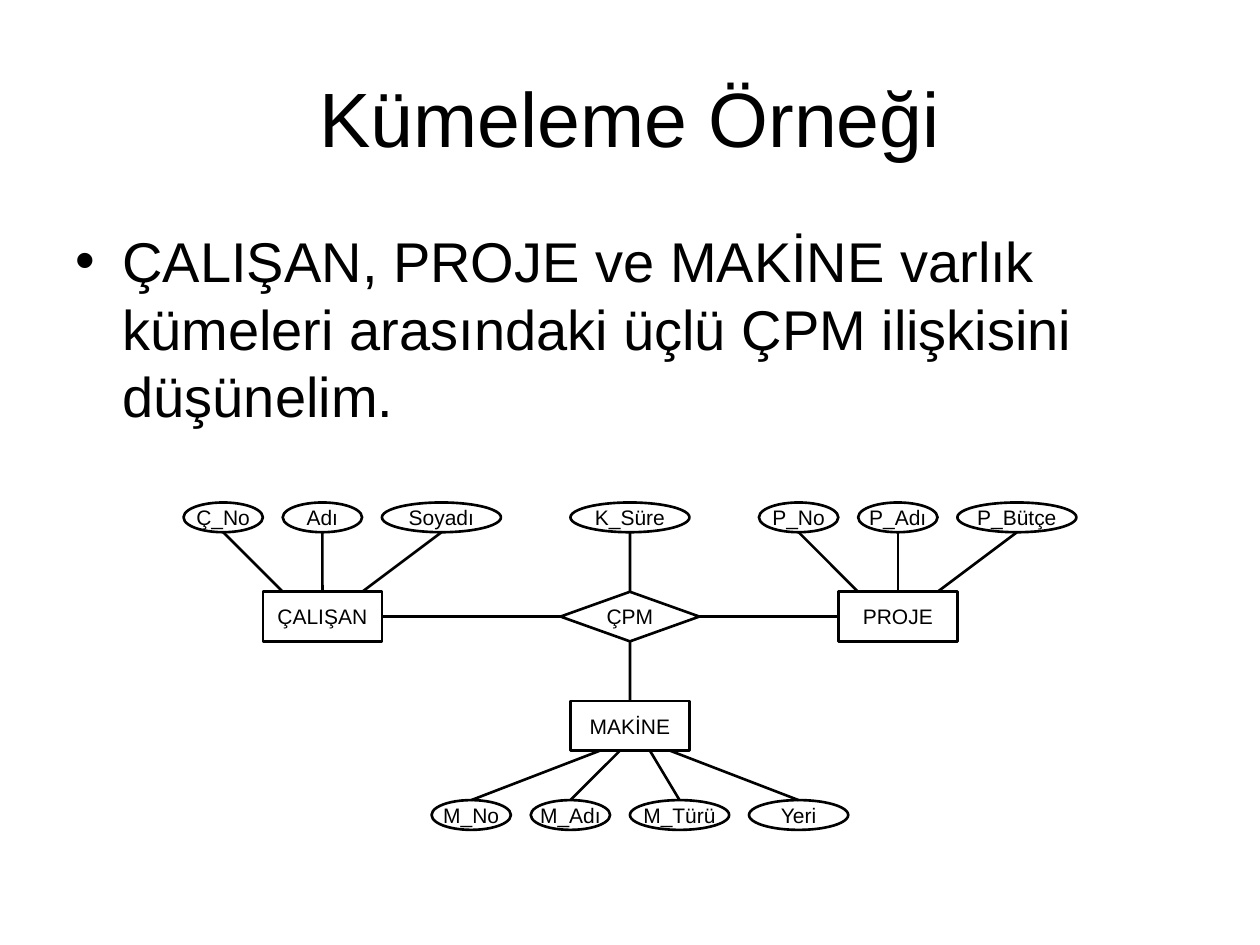
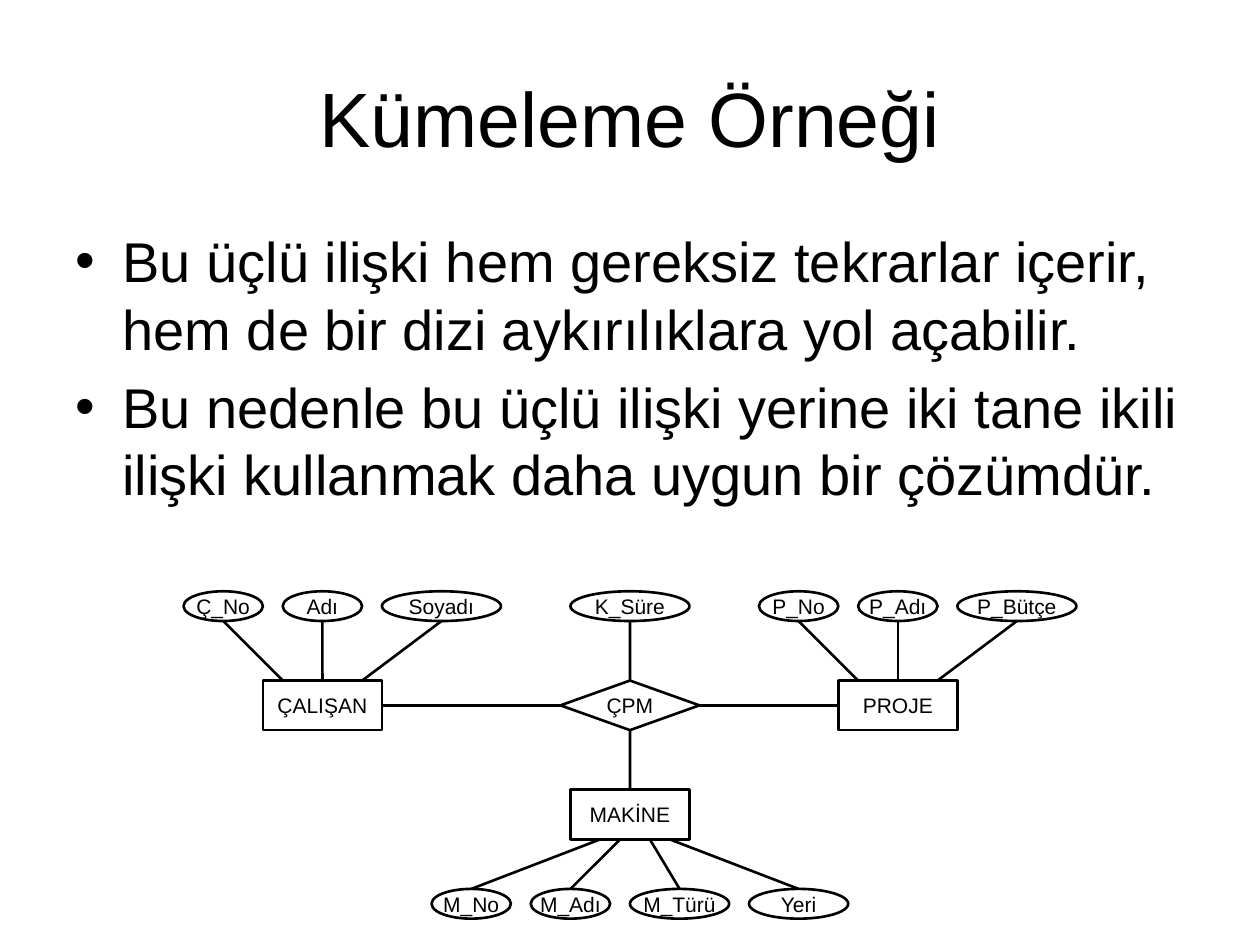
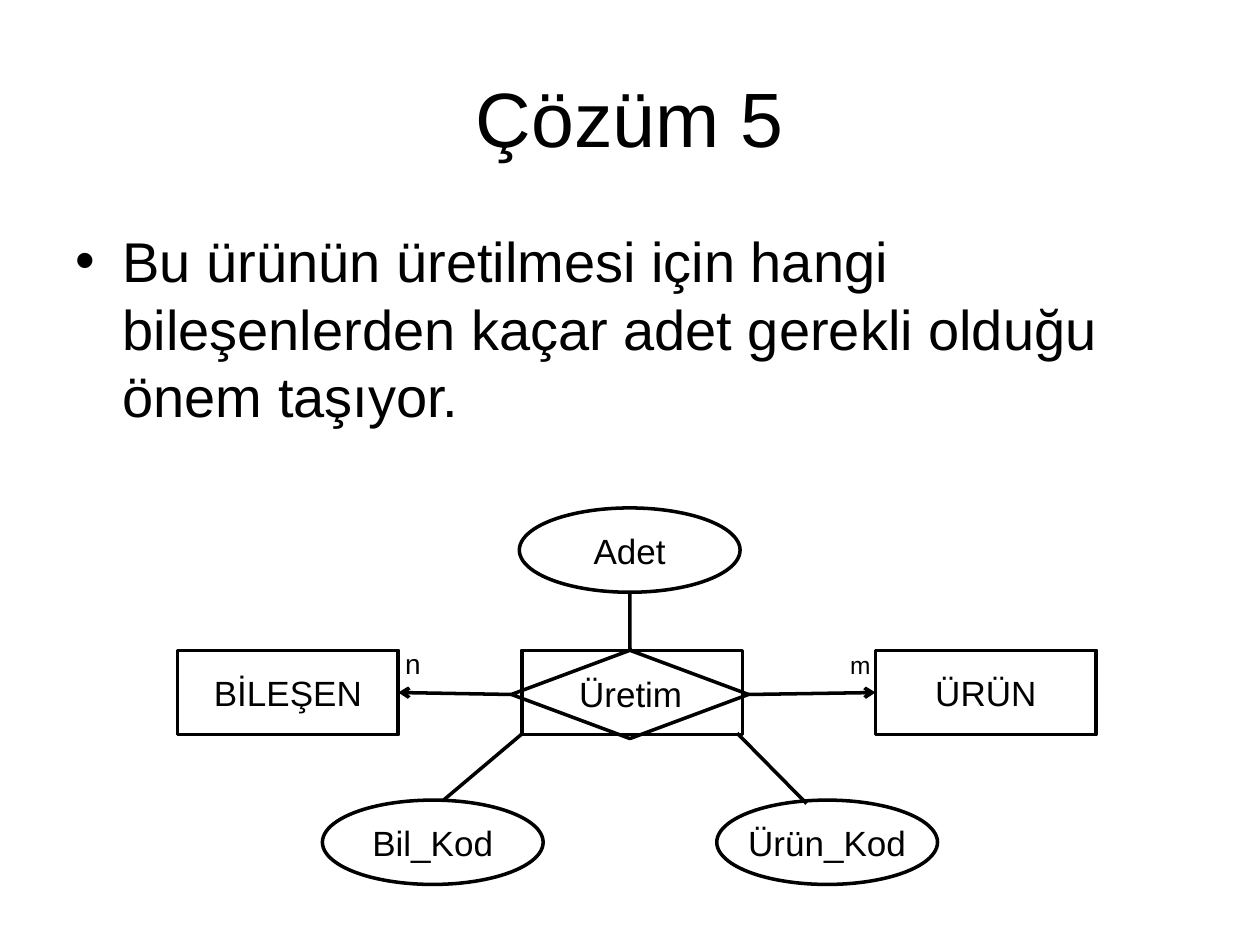
from itertools import accumulate

from lxml import etree
from pptx import Presentation
from pptx.dml.color import RGBColor
from pptx.enum.shapes import MSO_CONNECTOR, MSO_SHAPE
from pptx.enum.text import MSO_ANCHOR, PP_ALIGN
from pptx.oxml.ns import qn
from pptx.util import Cm, Pt

OVAL, RECTANGLE, DIAMOND = MSO_SHAPE.OVAL, MSO_SHAPE.RECTANGLE, MSO_SHAPE.DIAMOND
ENTITY, RELATION = MSO_SHAPE.FLOWCHART_PROCESS, MSO_SHAPE.FLOWCHART_DECISION
STRAIGHT = MSO_CONNECTOR.STRAIGHT
MIDDLE, TOP_ANCHOR = MSO_ANCHOR.MIDDLE, MSO_ANCHOR.TOP
CENTER, LEFT_ALIGN = PP_ALIGN.CENTER, PP_ALIGN.LEFT

# Connection sites of rectangles and diamonds; an oval numbers its bottom differently
TOP, LEFT, BOTTOM, RIGHT = range(4)
OVAL_BOTTOM = 4
# Halves of the width and height from the top left corner to each site
SITE_HALVES = {TOP: (1, 0), LEFT: (0, 1), BOTTOM: (1, 2), RIGHT: (2, 1), OVAL_BOTTOM: (1, 2)}

COLORS = {"ink": "000000", "paper": "FFFFFF"}
FONT = "Arial"
BLANK_LAYOUT = 6

OVAL_HEIGHT, ENTITY_WIDTH, ENTITY_HEIGHT, OVAL_GAP = 0.6, 2.4, 1, 0.4
SOLUTION_SIZE = (4.45, 1.7)


class Deck:
    def __init__(self):
        self.file = Presentation()
        self.file.slide_width, self.file.slide_height = Cm(25.4), Cm(19.05)
        self.ink = RGBColor.from_string(COLORS["ink"])
        self.set_diagram_style(12, 1.5)

    def set_diagram_style(self, text_size, line_width):
        self.text_size, self.line_width = text_size, line_width

    def add_page(self, title, bullets, body_height):
        self.page = self.file.slides.add_slide(self.file.slide_layouts[BLANK_LAYOUT])
        self.page.background.fill.solid()
        self.page.background.fill.fore_color.rgb = RGBColor.from_string(COLORS["paper"])
        self.shapes = self.page.shapes
        self.add_text([title], (1.27, 0.76, 22.86, 3.18), 44, CENTER, MIDDLE)
        self.add_text(bullets, (1.27, 4.45, 22.86, body_height), 32, bulleted=True)

    def start_group(self):
        """Send the elements that follow into a new group."""
        self.shapes = self.page.shapes.add_group_shape().shapes

    def set_text(self, frame, lines, size, align, anchor, wrap, bulleted=False):
        frame.word_wrap = wrap
        frame.vertical_anchor = anchor
        for index, line in enumerate(lines):
            para = frame.add_paragraph() if index else frame.paragraphs[0]
            para.text = line
            para.alignment = align
            if index:
                para.space_before = Pt(size * 0.2)
            if bulleted:
                properties = para._p.get_or_add_pPr()
                properties.set("marL", str(Cm(0.95)))
                properties.set("indent", str(-Cm(0.95)))
                etree.SubElement(properties, qn("a:buFont"), typeface=FONT)
                etree.SubElement(properties, qn("a:buChar"), char="•")
            para.font.name, para.font.size = FONT, Pt(size)
            para.font.color.rgb = self.ink

    def add_text(self, lines, place, size, align=LEFT_ALIGN, anchor=TOP_ANCHOR,
                 wrap=True, bulleted=False):
        box = self.shapes.add_textbox(*map(Cm, place))
        self.set_text(box.text_frame, lines, size, align, anchor, wrap, bulleted)

    def add_outline(self, kind, left, top, width, height, label=None):
        shape = self.shapes.add_shape(kind, *map(Cm, (left, top, width, height)))
        shape.shadow.inherit = False
        shape.fill.background()
        shape.line.color.rgb = self.ink
        shape.line.width = Pt(self.line_width)
        if label:
            self.set_text(shape.text_frame, [label], self.text_size, CENTER, MIDDLE, False)
        return shape

    def add_line(self, start, end, arrow=False):
        """Draw from start to end, each a point in cm or a (shape, site) pair."""
        line = self.shapes.add_connector(STRAIGHT, *self.locate(*start), *self.locate(*end))
        for (target, site), join in ((start, line.begin_connect), (end, line.end_connect)):
            if not isinstance(target, (int, float)) and site != OVAL_BOTTOM:
                join(target, site)
        line.line.color.rgb = self.ink
        line.line.width = Pt(self.line_width)
        properties = line._element.spPr
        etree.SubElement(properties, qn("a:effectLst"))
        if arrow:
            etree.SubElement(properties.find(qn("a:ln")), qn("a:tailEnd"), type="arrow")

    @staticmethod
    def locate(target, site):
        if isinstance(target, (int, float)):
            return Cm(target), Cm(site)
        across, down = SITE_HALVES[site]
        return (target.left + target.width * across // 2,
                target.top + target.height * down // 2)

    def add_attributes(self, left, top, attributes, site, ends):
        """Draw a row of evenly spaced ovals, each tied to its end."""
        widths = [width for _, width in attributes]
        lefts = accumulate([left] + [width + OVAL_GAP for width in widths[:-1]])
        for (label, width), oval_left, end in zip(attributes, lefts, ends):
            oval = self.add_outline(OVAL, oval_left, top, width, OVAL_HEIGHT, label)
            self.add_line((oval, site), end)


def draw_clustering_diagram(deck, top):
    deck.start_group()
    entity_top, machine_top, machine_oval_top = top + 1.8, top + 4, top + 6
    relation = deck.add_outline(RELATION, 11.3, entity_top, 2.8, ENTITY_HEIGHT, "ÇPM")
    entities = (
        ("ÇALIŞAN", 5.3, [("Ç_No", 1.6), ("Adı", 1.6), ("Soyadı", 2.4)], RIGHT, LEFT),
        ("PROJE", 16.9, [("P_No", 1.6), ("P_Adı", 1.6), ("P_Bütçe", 2.4)], LEFT, RIGHT),
    )
    for name, left, attributes, entity_side, relation_side in entities:
        entity = deck.add_outline(ENTITY, left, entity_top, ENTITY_WIDTH, ENTITY_HEIGHT, name)
        deck.add_line((entity, entity_side), (relation, relation_side))
        ends = [(left + 0.4, entity_top), (entity, TOP), (left + 2, entity_top)]
        deck.add_attributes(left - 1.6, top, attributes, OVAL_BOTTOM, ends)
    deck.add_attributes(11.5, top, [("K_Süre", 2.4)], OVAL_BOTTOM, [(relation, TOP)])

    machine = deck.add_outline(ENTITY, 11.5, machine_top, ENTITY_WIDTH, ENTITY_HEIGHT, "MAKİNE")
    deck.add_line((relation, BOTTOM), (machine, TOP))
    ends = [(x, machine_top + ENTITY_HEIGHT) for x in (12.1, 12.5, 13.1, 13.5)]
    deck.add_attributes(8.7, machine_oval_top,
                        [("M_No", 1.6), ("M_Adı", 1.6), ("M_Türü", 2), ("Yeri", 2)], TOP, ends)


def draw_solution_diagram(deck):
    deck.set_diagram_style(20, 2)
    entity_top, code_top, corner_y = 13.11, 16.13, 14.78
    deck.add_text(["Üretim"], (10.49, 13.13, *SOLUTION_SIZE), 20, CENTER, MIDDLE, wrap=False)
    deck.add_outline(OVAL, 14.45, code_top, *SOLUTION_SIZE, "Ürün_Kod")
    deck.add_outline(OVAL, 6.5, code_top, *SOLUTION_SIZE, "Bil_Kod")
    quantity = deck.add_outline(OVAL, 10.47, 10.24, *SOLUTION_SIZE, "Adet")
    deck.add_line((16.26, 16.2), (14.86, corner_y))
    deck.add_line((8.94, code_top), (10.54, corner_y))

    deck.add_outline(RECTANGLE, 10.52, entity_top, *SOLUTION_SIZE)
    component = deck.add_outline(RECTANGLE, 3.58, entity_top, *SOLUTION_SIZE, "BİLEŞEN")
    product = deck.add_outline(RECTANGLE, 17.65, entity_top, *SOLUTION_SIZE, "ÜRÜN")
    production = deck.add_outline(DIAMOND, 10.31, entity_top, 4.78, 1.78)
    deck.add_line((quantity, OVAL_BOTTOM), (production, TOP))
    deck.add_line((production, LEFT), (component, RIGHT), arrow=True)
    deck.add_line((production, RIGHT), (product, LEFT), arrow=True)
    deck.add_text(["n"], (7.92, 12.9, 0.79, 0.94), 16)
    deck.add_text(["m"], (16.89, 12.98, 0.79, 0.84), 14)


def main():
    deck = Deck()
    deck.add_page("Kümeleme Örneği", [
        "ÇALIŞAN, PROJE ve MAKİNE varlık kümeleri arasındaki üçlü ÇPM ilişkisini düşünelim.",
    ], 4.67)
    draw_clustering_diagram(deck, 10.13)

    deck.add_page("Kümeleme Örneği", [
        "Bu üçlü ilişki hem gereksiz tekrarlar içerir, hem de bir dizi aykırılıklara yol açabilir.",
        "Bu nedenle bu üçlü ilişki yerine iki tane ikili ilişki kullanmak daha uygun bir çözümdür.",
    ], 7.47)
    draw_clustering_diagram(deck, 11.92)

    deck.add_page("Çözüm 5", [
        "Bu ürünün üretilmesi için hangi bileşenlerden kaçar adet gerekli olduğu önem taşıyor.",
    ], 6.27)
    draw_solution_diagram(deck)
    deck.file.save("out.pptx")


if __name__ == "__main__":
    main()
